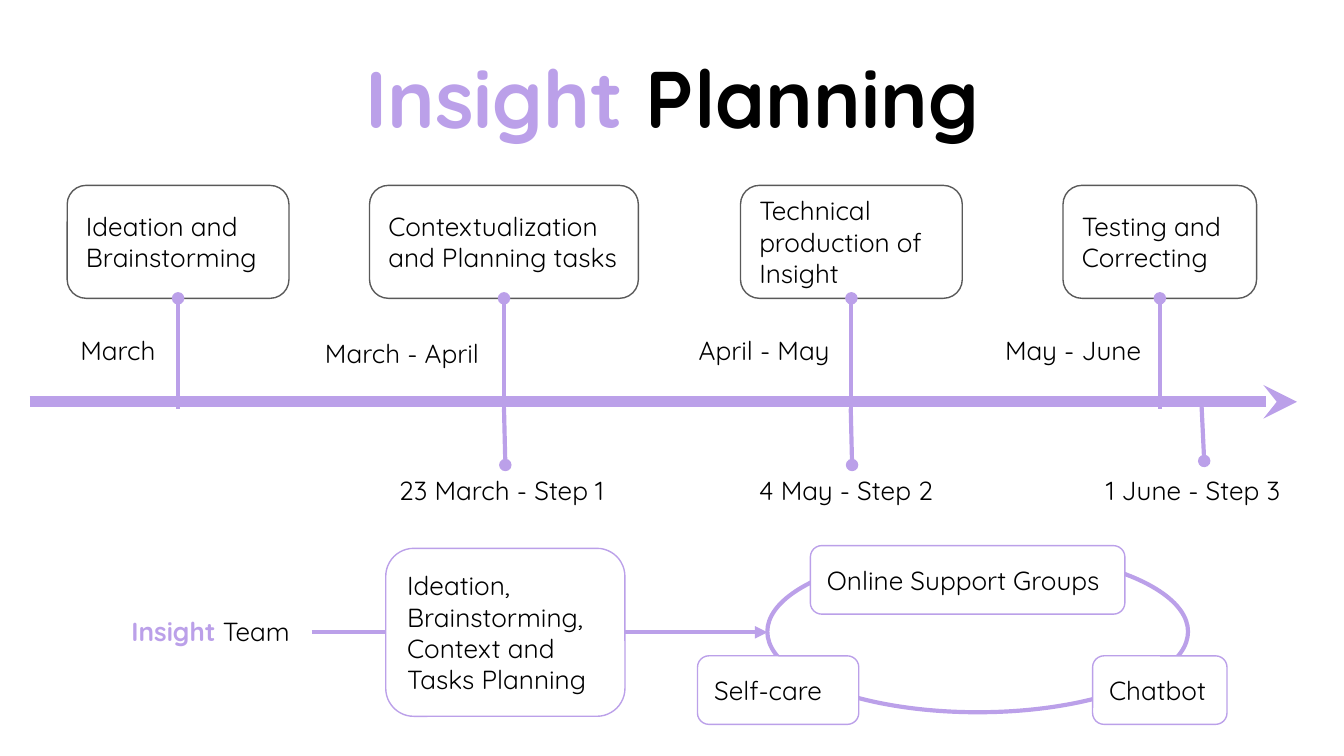
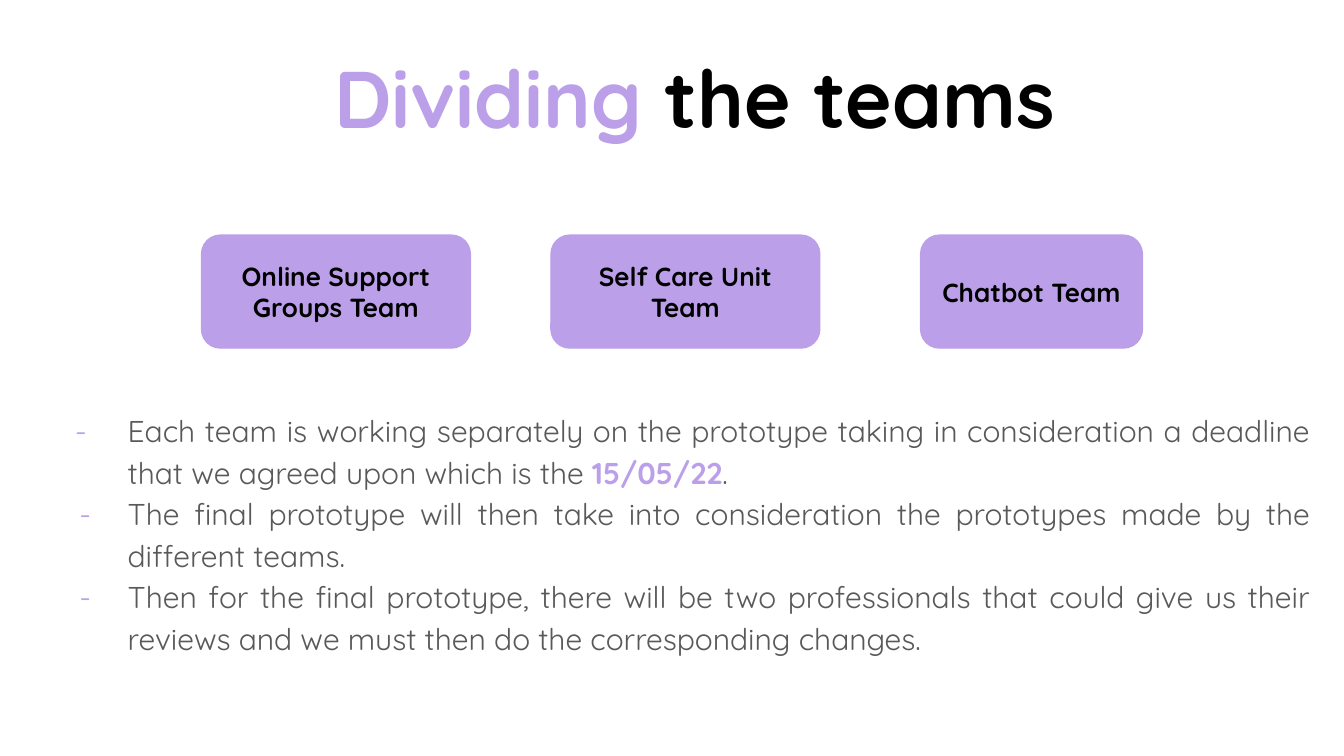
from lxml.etree import SubElement
from pptx import Presentation
from pptx.dml.color import RGBColor
from pptx.enum.shapes import MSO_CONNECTOR, MSO_SHAPE
from pptx.enum.text import MSO_ANCHOR, MSO_AUTO_SIZE, PP_ALIGN
from pptx.oxml.ns import qn
from pptx.util import Inches, Pt

# Shared look
LILAC = RGBColor(0xBB, 0xA0, 0xE9)
BLACK = RGBColor(0, 0, 0)
GREY = RGBColor(0x59, 0x59, 0x59)
WHITE = RGBColor(0xFF, 0xFF, 0xFF)
FONT = "Quicksand"
TITLE_SIZE, LABEL_SIZE, NOTE_SIZE = 43, 14, 16.11
BOTTOM, LEFT, RIGHT = 2, 1, 3

# Timeline
PHASE_TOP, PHASE_HEIGHT = 1.38, 0.84
AXIS_Y, STEM_END = 2.99, 3.04
PHASES = [  # left, width, wording
    (0.5, 1.65, "Ideation and Brainstorming"),
    (2.75, 2, "Contextualization and Planning tasks"),
    (5.51, 1.65, "Technical production of Insight"),
    (7.91, 1.44, "Testing and Correcting"),
]
MONTHS = [  # left, top, width, wording
    (0.5, 2.39, 0.83, "March"),
    (2.32, 2.41, 1.44, "March - April"),
    (5.1, 2.39, 1.31, "April - May"),
    (7.38, 2.39, 1.31, "May - June"),
]
STEPS = [  # label left, label width, pin start, pin end, wording
    (2.87, 1.78, (3.75, 3.04), (3.76, 3.46), "23 March - Step 1"),
    (5.55, 1.57, (6.33, 3.04), (6.34, 3.46), "4 May - Step 2"),
    (8.13, 1.65, (8.94, 3.01), (8.96, 3.43), "1 June - Step 3"),
]

# Team flow
PLANNING_TOP, PLANNING_HEIGHT = 4.08, 1.25
FLOW_Y = PLANNING_TOP + PLANNING_HEIGHT / 2
UNITS = [  # left, top, width, wording
    (6.03, 4.06, 2.34, "Online Support Groups"),
    (5.19, 4.88, 1.2, "Self-care"),
    (8.13, 4.88, 1, "Chatbot"),
]

# Teams
TEAMS = [  # left, width, wording
    (1.5, 2, "Online Support Groups Team"),
    (4.1, 2, "Self Care Unit Team"),
    (6.85, 1.65, "Chatbot Team"),
]
NOTES = [  # hanging indent, runs as (wording, colour, bold)
    (0.39, [("Each team is working separately on the prototype taking in "
             "consideration a deadline that we agreed upon which is the ", GREY, False),
            ("15/05/22", LILAC, True), (".", GREY, False)]),
    (0.36, [("The final prototype will then take into consideration the "
             "prototypes made by the different teams.", GREY, False)]),
    (0.36, [("Then for the final prototype, there will be two professionals "
             "that could give us their reviews and we must then do the "
             "corresponding changes.", GREY, False)]),
]


def place(shape, left, top, width, height):
    shape.left, shape.top = Inches(left), Inches(top)
    shape.width, shape.height = Inches(width), Inches(height)


def prepare_frame(shape, anchor=MSO_ANCHOR.TOP, fit=MSO_AUTO_SIZE.NONE):
    frame = shape.text_frame
    frame.margin_left = frame.margin_right = Inches(0.1)
    frame.margin_top = frame.margin_bottom = Inches(0.1)
    frame.word_wrap = True
    frame.auto_size = fit
    frame.vertical_anchor = anchor
    return frame


def write_runs(paragraph, runs, size=LABEL_SIZE, align=PP_ALIGN.LEFT):
    paragraph.alignment = align
    for wording, colour, bold in runs:
        run = paragraph.add_run()
        run.text = wording
        run.font.name = FONT
        run.font.size = Pt(size)
        run.font.bold = bold
        run.font.color.rgb = colour


def add_title(slide, accent, rest, left=0.34):
    title = slide.shapes.title
    place(title, left, 0.26, 9.32, 0.92)
    frame = prepare_frame(title, MSO_ANCHOR.MIDDLE)
    write_runs(frame.paragraphs[0], [(accent, LILAC, True), (rest, BLACK, True)],
               TITLE_SIZE, PP_ALIGN.CENTER)


def add_outline(slide, preset, left, top, width, height, line, weight, fill=None):
    shape = slide.shapes.add_shape(
        preset, Inches(left), Inches(top), Inches(width), Inches(height))
    shape.shadow.inherit = False
    if fill is None:
        shape.fill.background()
    else:
        shape.fill.solid()
        shape.fill.fore_color.rgb = fill
    shape.line.color.rgb = line
    shape.line.width = Pt(weight)
    return shape


def add_box(slide, left, top, width, height, wording, line=LILAC, fill=None,
            bold=False, align=PP_ALIGN.LEFT):
    box = add_outline(slide, MSO_SHAPE.ROUNDED_RECTANGLE, left, top, width, height,
                      line, 0.75, fill)
    frame = prepare_frame(box, MSO_ANCHOR.MIDDLE)
    write_runs(frame.paragraphs[0], [(wording, BLACK, bold)], align=align)
    return box


def add_label(slide, left, top, width, runs):
    label = slide.shapes.add_textbox(
        Inches(left), Inches(top), Inches(width), Inches(0.44))
    frame = prepare_frame(label, fit=MSO_AUTO_SIZE.SHAPE_TO_FIT_TEXT)
    write_runs(frame.paragraphs[0], runs)


def add_line(slide, start, end, weight=2.25, head=None, tail=None):
    line = slide.shapes.add_connector(
        MSO_CONNECTOR.STRAIGHT, *(Inches(value) for value in (*start, *end)))
    line.line.color.rgb = LILAC
    line.line.width = Pt(weight)
    outline = line.line._get_or_add_ln()
    for tag, kind in (("a:headEnd", head), ("a:tailEnd", tail)):
        if kind:
            SubElement(outline, qn(tag), type=kind)
    SubElement(line._element.spPr, qn("a:effectLst"))
    return line


def add_dash_bullet(paragraph, hanging):
    properties = paragraph._p.get_or_add_pPr()
    properties.set("marL", str(Inches(0.5)))
    properties.set("indent", str(-Inches(hanging)))
    colour = SubElement(properties, qn("a:buClr"))
    SubElement(colour, qn("a:srgbClr"), val=str(LILAC))
    SubElement(properties, qn("a:buFont"), typeface=FONT)
    SubElement(properties, qn("a:buChar"), char="-")


def add_timeline(slide):
    add_line(slide, (0.22, AXIS_Y), (9.65, AXIS_Y), 6, tail="stealth")
    for left, width, wording in PHASES:
        phase = add_box(slide, left, PHASE_TOP, width, PHASE_HEIGHT, wording, GREY)
        middle = left + width / 2
        stem = add_line(slide, (middle, PHASE_TOP + PHASE_HEIGHT), (middle, STEM_END),
                        head="oval")
        stem.begin_connect(phase, BOTTOM)
    for left, top, width, wording in MONTHS:
        add_label(slide, left, top, width, [(wording, BLACK, False)])
    for left, width, start, end, wording in STEPS:
        add_line(slide, start, end, tail="oval")
        add_label(slide, left, 3.43, width, [(wording, BLACK, False)])


def add_team_flow(slide):
    add_outline(slide, MSO_SHAPE.OVAL, 5.71, 4.1, 3.13, 1.2, LILAC, 2.25)
    for left, top, width, wording in UNITS:
        add_box(slide, left, top, width, 0.51, wording, fill=WHITE)
    add_label(slide, 0.88, 4.48, 1.44,
              [("Insight", LILAC, True), (" Team", BLACK, False)])
    planning = add_box(slide, 2.87, PLANNING_TOP, 1.78, PLANNING_HEIGHT,
                       "Ideation, Brainstorming, Context and Tasks Planning")
    team_link = add_line(slide, (2.32, FLOW_Y), (2.87, FLOW_Y))
    team_link.end_connect(planning, LEFT)
    units_link = add_line(slide, (4.65, FLOW_Y), (5.71, FLOW_Y), tail="triangle")
    units_link.begin_connect(planning, RIGHT)


def add_notes_list(slide):
    body = slide.placeholders[1]
    place(body, 0.35, 2.93, 9.5, 2.11)
    frame = prepare_frame(body, fit=MSO_AUTO_SIZE.SHAPE_TO_FIT_TEXT)
    for index, (hanging, runs) in enumerate(NOTES):
        paragraph = frame.add_paragraph() if index else frame.paragraphs[0]
        paragraph.line_spacing = 1.15
        paragraph.space_before = Pt(0)
        add_dash_bullet(paragraph, hanging)
        write_runs(paragraph, runs, NOTE_SIZE, PP_ALIGN.JUSTIFY)


def main():
    deck = Presentation()
    deck.slide_width = Inches(10)
    deck.slide_height = deck.slide_width * 9 // 16

    # Insight planning
    planning = deck.slides.add_slide(deck.slide_layouts[5])
    add_title(planning, "Insight", " Planning")
    add_timeline(planning)
    add_team_flow(planning)

    # Dividing the teams
    teams = deck.slides.add_slide(deck.slide_layouts[1])
    add_title(teams, "Dividing", " the teams", left=0.51)
    for left, width, wording in TEAMS:
        add_box(teams, left, 1.75, width, 0.84, wording, fill=LILAC, bold=True,
                align=PP_ALIGN.CENTER)
    add_notes_list(teams)

    deck.save("out.pptx")


if __name__ == "__main__":
    main()
